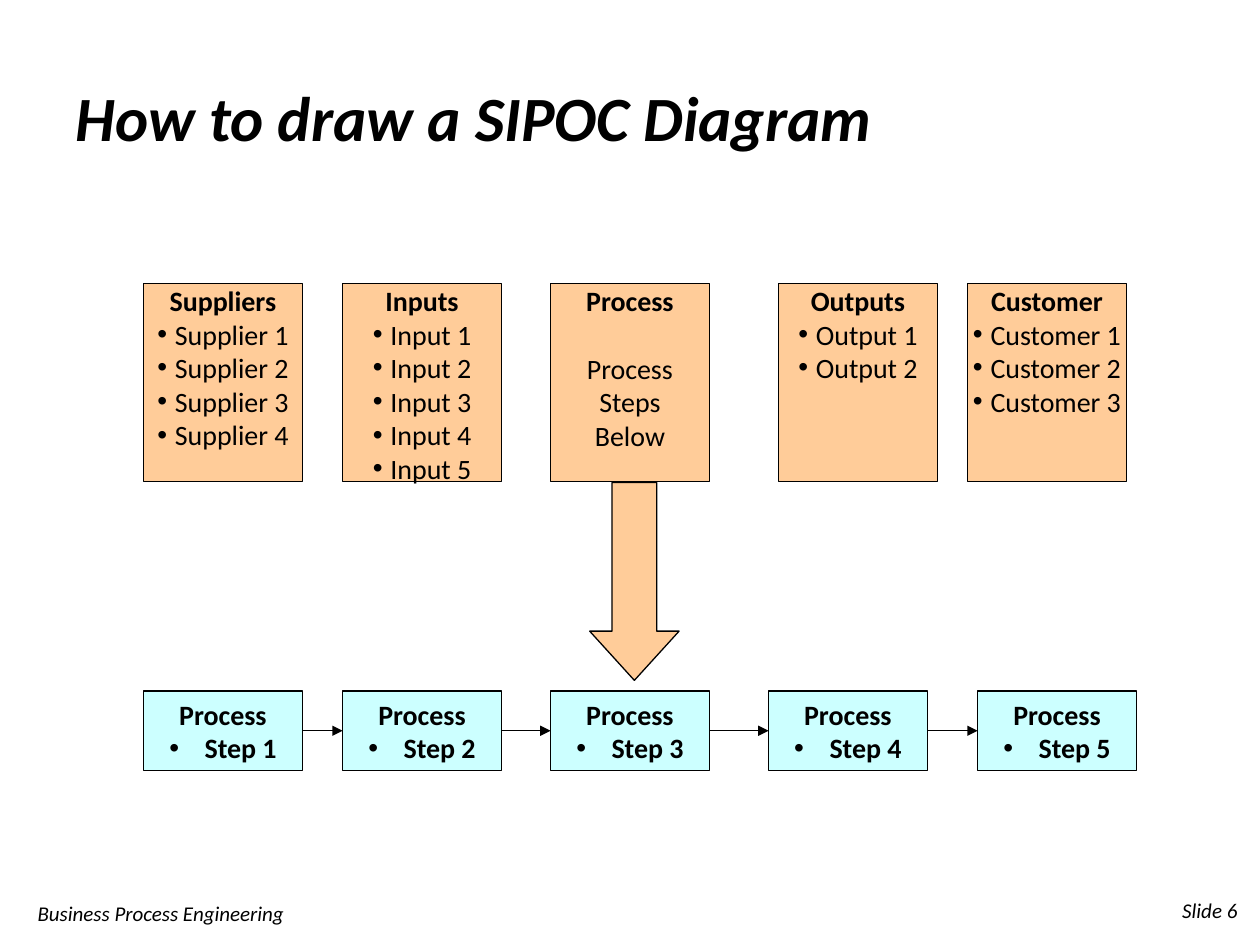
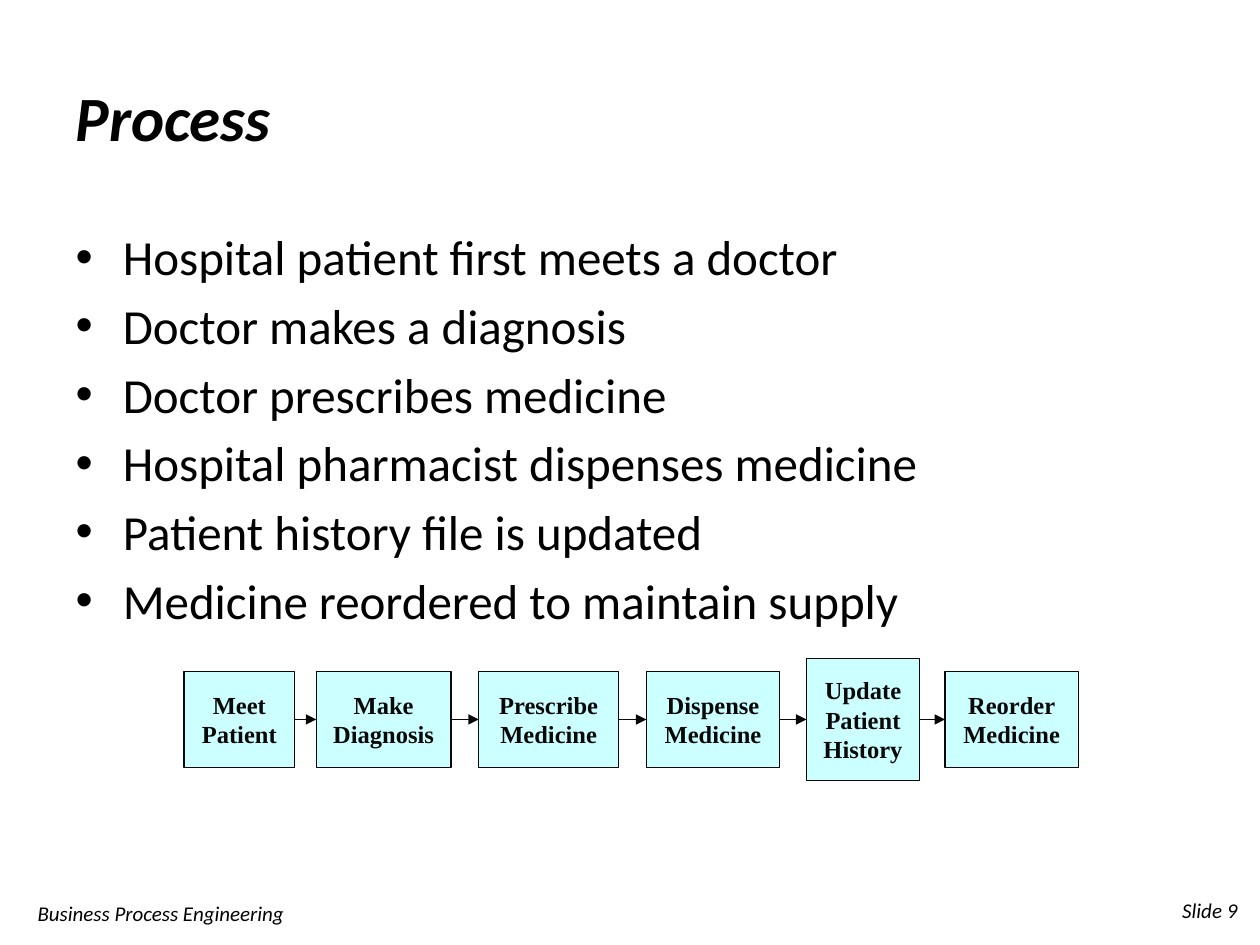
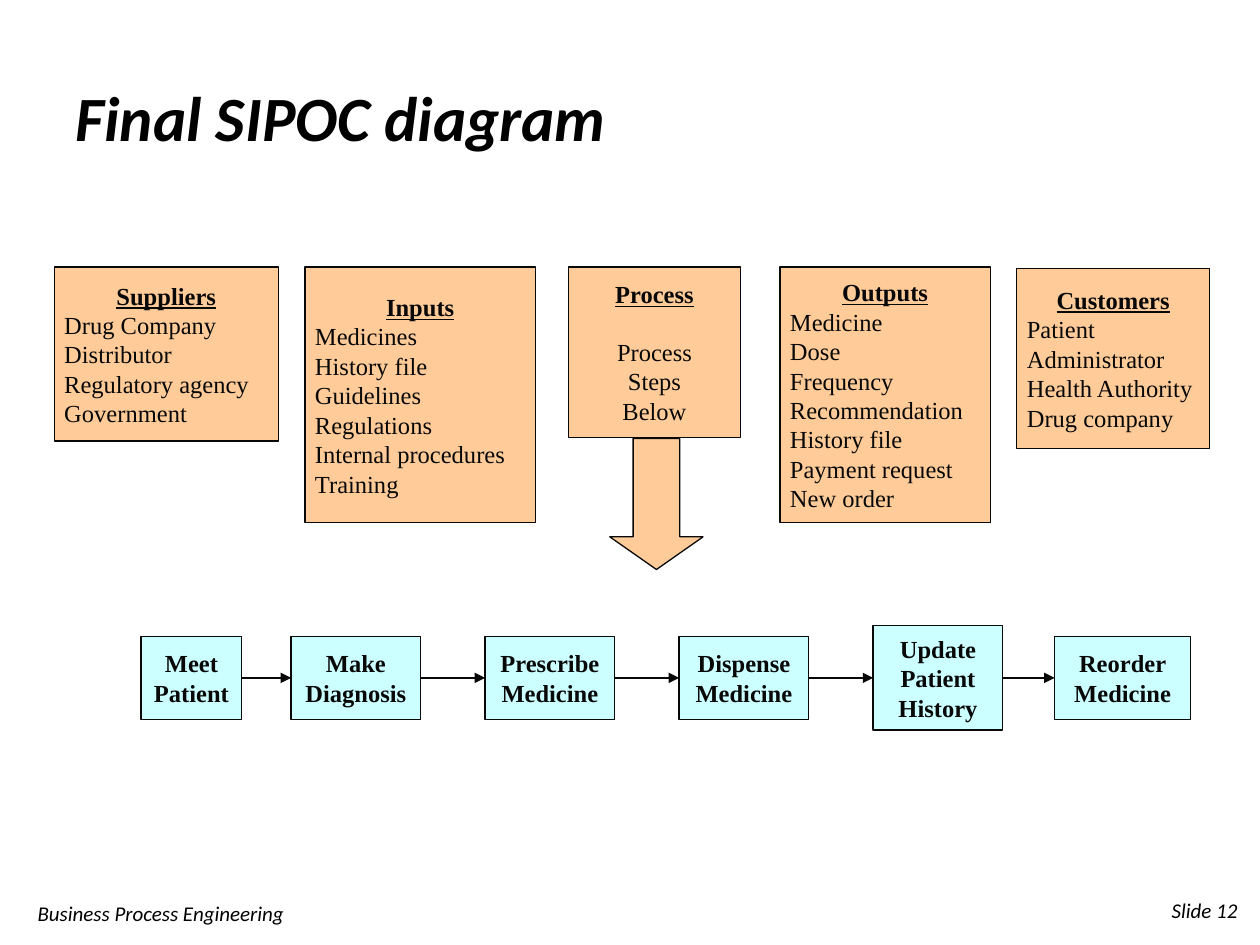
from dataclasses import dataclass

from lxml import etree
from pptx import Presentation
from pptx import util as u
from pptx.dml.color import RGBColor
from pptx.enum import shapes, text
from pptx.oxml.ns import qn

Inches = u.Inches
CENTER, LEFT, RIGHT = text.PP_ALIGN.CENTER, text.PP_ALIGN.LEFT, text.PP_ALIGN.RIGHT


@dataclass(frozen=True)
class Theme:
    font: str = "Calibri"
    black: str = "000000"
    peach: str = "FFCC99"
    aqua: str = "CCFFFF"
    title_size: int = 36
    body_size: int = 28
    footer_size: int = 12
    line_width: float = 0.75


@dataclass(frozen=True)
class DiagramStyle:
    font: str
    size: int
    ink: str
    inset_x: float
    inset_y: float
    line_height: float
    underline_headings: bool = False


THEME = Theme()
TEMPLATE_STYLE = DiagramStyle("Calibri", 16, THEME.black, 0, 0, 19.5)
HOSPITAL_STYLE = DiagramStyle("Times New Roman", 14, "080808", 0.08, 0.04, 16.1, True)

TITLE_ONLY, TITLE_AND_CONTENT = 5, 1
RIGHT_SITE, LEFT_SITE = 3, 1
COLUMN_BULLET, STEP_BULLET = 0.14, 0.28

PROCESS_NOTE = ["Process", "Steps", "Below"]
HOSPITAL_STEPS = [
    ["Meet", "Patient"],
    ["Make", "Diagnosis"],
    ["Prescribe", "Medicine"],
    ["Dispense Medicine"],
    ["Update", "Patient", "History"],
    ["Reorder", "Medicine"],
]


def format_font(font, name, size, color, bold=False, italic=False):
    font.name, font.size = name, u.Pt(size)
    font.bold, font.italic = bold, italic
    font.color.rgb = RGBColor.from_string(color)


def place(shape, left, top, width, height):
    shape.left, shape.top = Inches(left), Inches(top)
    shape.width, shape.height = Inches(width), Inches(height)


def add_footer(page, words, left, top, align):
    box = page.shapes.add_textbox(Inches(left), Inches(top), Inches(2.33), Inches(0.4))
    frame = box.text_frame
    frame.word_wrap = True
    frame.vertical_anchor = text.MSO_ANCHOR.MIDDLE
    para = frame.paragraphs[0]
    para.text, para.alignment = words, align
    format_font(para.font, THEME.font, THEME.footer_size, THEME.black, italic=True)


def add_page(deck, layout, title, number):
    """Add a slide with its title, running footer and slide number."""
    page = deck.slides.add_slide(deck.slide_layouts[layout])
    heading = page.shapes.title
    place(heading, 0.5, 0.3, 9, 1.25)
    heading.text_frame.vertical_anchor = text.MSO_ANCHOR.MIDDLE
    para = heading.text_frame.paragraphs[0]
    para.text, para.alignment = title, LEFT
    format_font(para.font, THEME.font, THEME.title_size, THEME.black, True, True)
    add_footer(page, "Business Process Engineering", 0.2, 7.05, LEFT)
    add_footer(page, f"Slide {number}", 7.59, 7.02, RIGHT)
    return page


def fill_body(page, items):
    body = page.placeholders[1]
    place(body, 0.5, 1.75, 9, 4.95)
    frame = body.text_frame
    frame.text = "\n".join(items)
    frame.auto_size = text.MSO_AUTO_SIZE.NONE
    for para in frame.paragraphs:
        format_font(para.font, THEME.font, THEME.body_size, THEME.black)


def add_block(page, kind, left, top, width, height, fill, style):
    block = page.shapes.add_shape(
        kind, Inches(left), Inches(top), Inches(width), Inches(height))
    block.shadow.inherit = False
    block.fill.solid()
    block.fill.fore_color.rgb = RGBColor.from_string(fill)
    block.line.color.rgb = RGBColor.from_string(style.ink)
    block.line.width = u.Pt(THEME.line_width)
    return block


def add_card(page, left, top, width, height, fill, style, lines,
             anchor=text.MSO_ANCHOR.MIDDLE):
    """Add a filled box with one centred bold paragraph per line; return the box."""
    card = add_block(page, shapes.MSO_SHAPE.RECTANGLE, left, top, width, height, fill, style)
    frame = card.text_frame
    frame.word_wrap = True
    frame.vertical_anchor = anchor
    frame.margin_left = frame.margin_right = Inches(style.inset_x)
    frame.margin_top = frame.margin_bottom = Inches(style.inset_y)
    frame.text = "\n".join(lines)
    for para in frame.paragraphs:
        para.alignment = CENTER
        format_font(para.font, style.font, style.size, style.ink, bold=True)
    return card


def add_bullet(para, indent):
    props = para._p.get_or_add_pPr()
    props.set("marL", str(Inches(indent)))
    props.set("indent", str(-Inches(indent)))
    etree.SubElement(props, qn("a:buFont")).set("typeface", "Arial")
    etree.SubElement(props, qn("a:buChar")).set("char", "•")


def add_column(page, bounds, heading, items, style, align=CENTER, bullet=None,
               anchor=text.MSO_ANCHOR.MIDDLE):
    """Add a SIPOC column; the process note stands one line below its heading."""
    card = add_card(page, *bounds, THEME.peach, style, [heading, *items], anchor)
    first, *rest = card.text_frame.paragraphs
    first.font.underline = style.underline_headings
    is_process = items == PROCESS_NOTE
    for para in rest:
        para.font.bold = False
        para.alignment = CENTER if is_process else align
        if bullet and not is_process:
            add_bullet(para, bullet)
    if is_process:
        rest[0].space_before = u.Pt(style.line_height)


def add_down_arrow(page, left, top, width, height, head, style):
    arrow = add_block(page, shapes.MSO_SHAPE.DOWN_ARROW, left, top, width, height,
                      THEME.peach, style)
    arrow.adjustments[0], arrow.adjustments[1] = 0.5, head


def add_arrow(page, source, target, color):
    arrow = page.shapes.add_connector(shapes.MSO_CONNECTOR.STRAIGHT, 0, 0, 0, 0)
    arrow.begin_connect(source, RIGHT_SITE)
    arrow.end_connect(target, LEFT_SITE)
    arrow.line.color.rgb = RGBColor.from_string(color)
    arrow.line.width = u.Pt(THEME.line_width)
    etree.SubElement(arrow.line._get_or_add_ln(), qn("a:tailEnd")).set("type", "triangle")
    etree.SubElement(arrow._element.spPr, qn("a:effectLst"))


def add_flow(page, steps, spans, middle, heights, style):
    """Add a row of steps joined by arrows and centred on one height.

    spans holds (left, width) for each step; heights maps a line count to a box
    height, with its key 2 as the usual one.
    """
    cards = []
    for lines, (left, width) in zip(steps, spans):
        height = heights.get(len(lines), heights[2])
        cards.append(add_card(page, left, middle - height / 2, width, height,
                              THEME.aqua, style, lines))
    for source, target in zip(cards, cards[1:]):
        add_arrow(page, source, target, style.ink)
    return cards


def numbered(word, count):
    return [f"{word} {number}" for number in range(1, count + 1)]


def build_template_page(deck):
    page = add_page(deck, TITLE_ONLY, "How to draw a SIPOC Diagram", 6)
    columns = [
        (1.14, "Suppliers", numbered("Supplier", 4)),
        (2.72, "Inputs", numbered("Input", 5)),
        (4.37, "Process", PROCESS_NOTE),
        (6.18, "Outputs", numbered("Output", 2)),
        (7.68, "Customer", numbered("Customer", 3)),
    ]
    for left, heading, items in columns:
        add_column(page, (left, 2.25, 1.26, 1.57), heading, items, TEMPLATE_STYLE,
                   bullet=COLUMN_BULLET, anchor=text.MSO_ANCHOR.TOP)
    add_down_arrow(page, 4.68, 3.83, 0.71, 1.57, 0.55, TEMPLATE_STYLE)
    steps = [["Process", step] for step in numbered("Step", 5)]
    spans = [(left, 1.26) for left in (1.14, 2.72, 4.37, 6.1, 7.76)]
    for card in add_flow(page, steps, spans, 5.8, {2: 0.63}, TEMPLATE_STYLE):
        add_bullet(card.text_frame.paragraphs[1], STEP_BULLET)


def build_process_page(deck):
    page = add_page(deck, TITLE_AND_CONTENT, "Process", 9)
    fill_body(page, [
        "Hospital patient first meets a doctor",
        "Doctor makes a diagnosis",
        "Doctor prescribes medicine",
        "Hospital pharmacist dispenses medicine",
        "Patient history file is updated",
        "Medicine reordered to maintain supply",
    ])
    spans = [(1.46, 0.88), (2.51, 1.07), (3.8, 1.11), (5.13, 1.06), (6.4, 0.9), (7.5, 1.06)]
    add_flow(page, HOSPITAL_STEPS, spans, 5.71, {2: 0.76, 3: 0.97}, HOSPITAL_STYLE)


def build_final_page(deck):
    page = add_page(deck, TITLE_ONLY, "Final SIPOC diagram", 12)
    columns = [
        ((0.43, 2.12, 1.78, 1.38), "Suppliers",
         ["Drug Company", "Distributor", "Regulatory agency", "Government"]),
        ((2.42, 2.12, 1.83, 2.03), "Inputs",
         ["Medicines", "History file", "Guidelines", "Regulations",
          "Internal procedures", "Training"]),
        ((4.51, 2.12, 1.37, 1.35), "Process", PROCESS_NOTE),
        ((6.19, 2.12, 1.67, 2.03), "Outputs",
         ["Medicine", "Dose", "Frequency", "Recommendation", "History file",
          "Payment request", "New order"]),
        ((8.07, 2.13, 1.53, 1.43), "Customers",
         ["Patient", "Administrator", "Health Authority", "Drug company"]),
    ]
    for bounds, heading, items in columns:
        add_column(page, bounds, heading, items, HOSPITAL_STYLE, align=LEFT)
    add_down_arrow(page, 4.84, 3.48, 0.74, 1.04, 0.35, HOSPITAL_STYLE)
    middle_spans = [(2.31 + 1.54 * index, 1.03) for index in range(4)]
    spans = [(1.12, 0.8), *middle_spans, (8.37, 1.08)]
    add_flow(page, HOSPITAL_STEPS, spans, 5.38, {2: 0.66, 3: 0.83}, HOSPITAL_STYLE)


def main():
    deck = Presentation()
    deck.slide_width, deck.slide_height = Inches(10), Inches(7.5)
    build_template_page(deck)
    build_process_page(deck)
    build_final_page(deck)
    deck.save("out.pptx")


if __name__ == "__main__":
    main()
